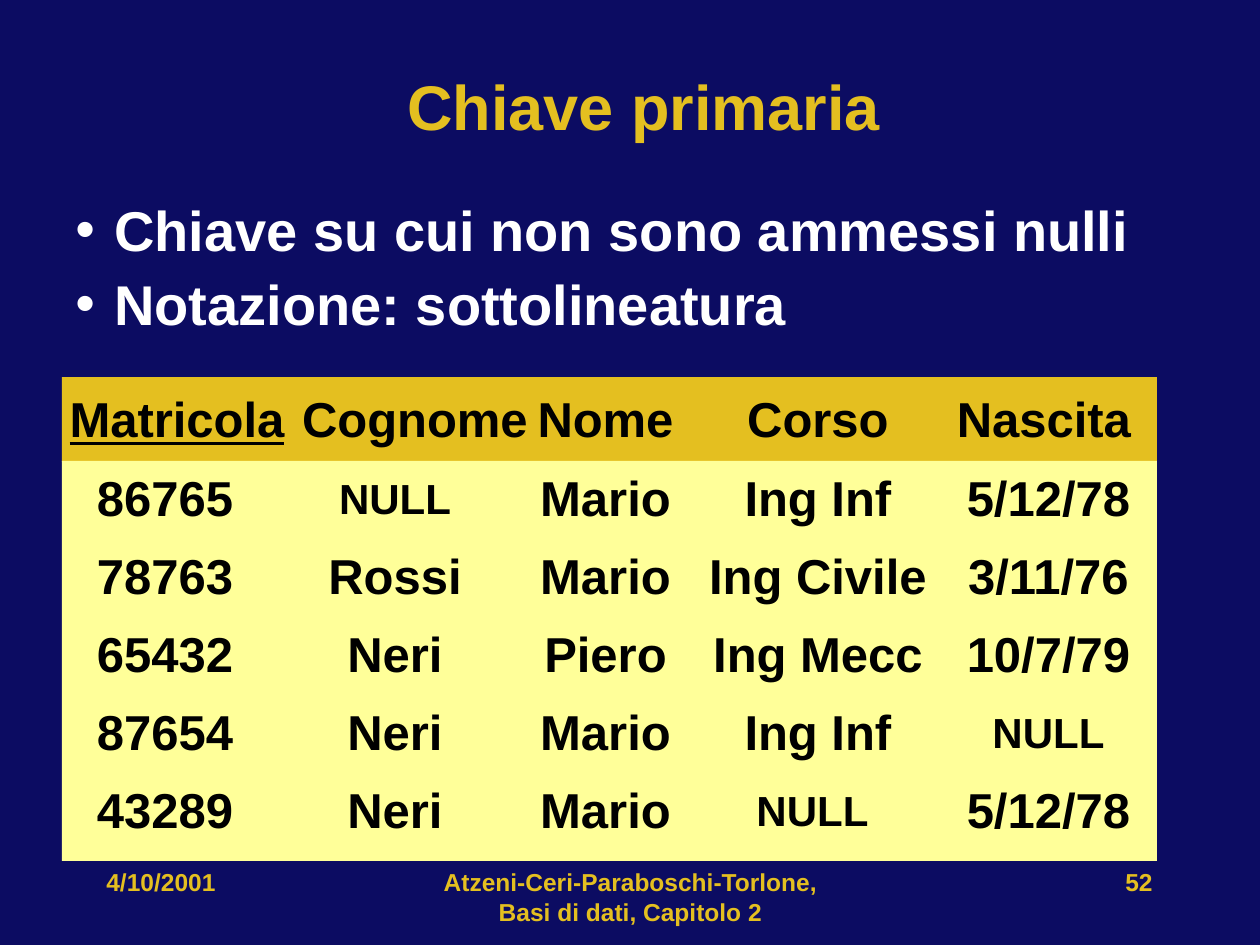
from pptx import Presentation
from pptx.dml.color import RGBColor
from pptx.enum.shapes import MSO_SHAPE as Shape
from pptx.enum.text import MSO_ANCHOR as Anchor, PP_ALIGN as Align
from pptx.oxml.ns import qn
from pptx.oxml import parse_xml
from pptx.util import Pt

PX = 914400 / 126
NAVY, GOLD, CREAM = "0C0C62", "E4BF20", "FFFF99"
WHITE, BLACK = "FFFFFF", "000000"
NS = 'xmlns:a="http://schemas.openxmlformats.org/drawingml/2006/main"'


def px(n):
    return round(n * PX)


def add_run(para, text, size, color):
    run = para.add_run()
    run.text = text
    font = run.font
    font.name, font.size, font.bold = "Arial", Pt(size), True
    font.color.rgb = RGBColor.from_string(color)
    return run


prs = Presentation()
prs.slide_width, prs.slide_height = px(1260), px(945)
slide = prs.slides.add_slide(prs.slide_layouts[6])
back = slide.background.fill
back.solid()
back.fore_color.rgb = RGBColor.from_string(NAVY)

# Title, bullets and footer: box, anchor, alignment, size, colour, lines
bullets = ["Chiave su cui non sono ammessi nulli", "Notazione: sottolineatura"]
credit = "Atzeni-Ceri-Paraboschi-Torlone, Basi di dati, Capitolo 2"
texts = [
    ((63, 21, 1144, 168), Anchor.MIDDLE, Align.CENTER, 36, GOLD, [" Chiave primaria"]),
    ((63, 189, 1144, 175), Anchor.TOP, Align.LEFT, 32, WHITE, bullets),
    ((94, 861, 262, 63), Anchor.TOP, Align.LEFT, 14, GOLD, ["4/10/2001"]),
    ((431, 861, 399, 63), Anchor.TOP, Align.CENTER, 14, GOLD, [credit]),
    ((903, 861, 262, 63), Anchor.TOP, Align.RIGHT, 14, GOLD, ["52"]),
]
for box, anchor, align, size, color, lines in texts:
    frame = slide.shapes.add_textbox(*map(px, box)).text_frame
    frame.word_wrap = True
    frame.vertical_anchor = anchor
    for i, line in enumerate(lines):
        para = frame.add_paragraph() if i else frame.paragraphs[0]
        para.alignment = align
        if i:
            para.space_before = Pt(4)
        if lines is bullets:
            props = para._p.get_or_add_pPr()
            props.set("marL", str(px(39)))
            props.set("indent", str(px(-39)))
            props.append(parse_xml(f'<a:buFont {NS} typeface="Arial"/>'))
            props.append(parse_xml(f'<a:buChar {NS} char="•"/>'))
        add_run(para, line, size, color)

# Panels behind the head and the body of the table
for top, height, color in [(377, 85, GOLD), (461, 400, CREAM)]:
    panel = slide.shapes.add_shape(Shape.RECTANGLE, px(62), px(top), px(1095), px(height))
    panel.shadow.inherit = False
    panel.fill.solid()
    panel.fill.fore_color.rgb = RGBColor.from_string(color)
    panel.line.fill.background()

# Student table
rows = [
    ["Matricola", "Cognome", "Nome", "Corso", "Nascita"],
    ["86765", "NULL", "Mario", "Ing Inf", "5/12/78"],
    ["78763", "Rossi", "Mario", "Ing Civile", "3/11/76"],
    ["65432", "Neri", "Piero", "Ing Mecc", "10/7/79"],
    ["87654", "Neri", "Mario", "Ing Inf", "NULL"],
    ["43289", "Neri", "Mario", "NULL ", "5/12/78"],
]
widths = [230, 240, 151, 270, 204]
heights = [84, 78, 78, 78, 78, 88]
head_pads = [0, 0, 4, 0, 22]  # right margins
body_pads = [24, 34, 4, 0, 13]
table = slide.shapes.add_table(
    len(rows), len(widths), px(62), px(377), px(sum(widths)), px(sum(heights))
).table
# "No Style, No Grid"
table._tbl.tblPr.find(qn("a:tableStyleId")).text = "{2D5ABB26-0587-4C30-8999-92F81FD0307C}"
for col, width in zip(table.columns, widths):
    col.width = px(width)
for r, (row, height) in enumerate(zip(rows, heights)):
    table.rows[r].height = px(height)
    pads = body_pads if r else head_pads
    for c, word in enumerate(row):
        cell = table.cell(r, c)
        cell.fill.background()
        cell.vertical_anchor = Anchor.MIDDLE
        cell.margin_left = px(6 if word == "Cognome" else 0)
        cell.margin_right = px(pads[c])
        cell.margin_top = px(0 if r else 4)
        cell.margin_bottom = px(height - 78 if r else 0)
        para = cell.text_frame.paragraphs[0]
        para.alignment = Align.CENTER
        run = add_run(para, word, 24 if "NULL" in word else 28, BLACK)
        if word == "Matricola":
            run.font.underline = True

prs.save("out.pptx")
